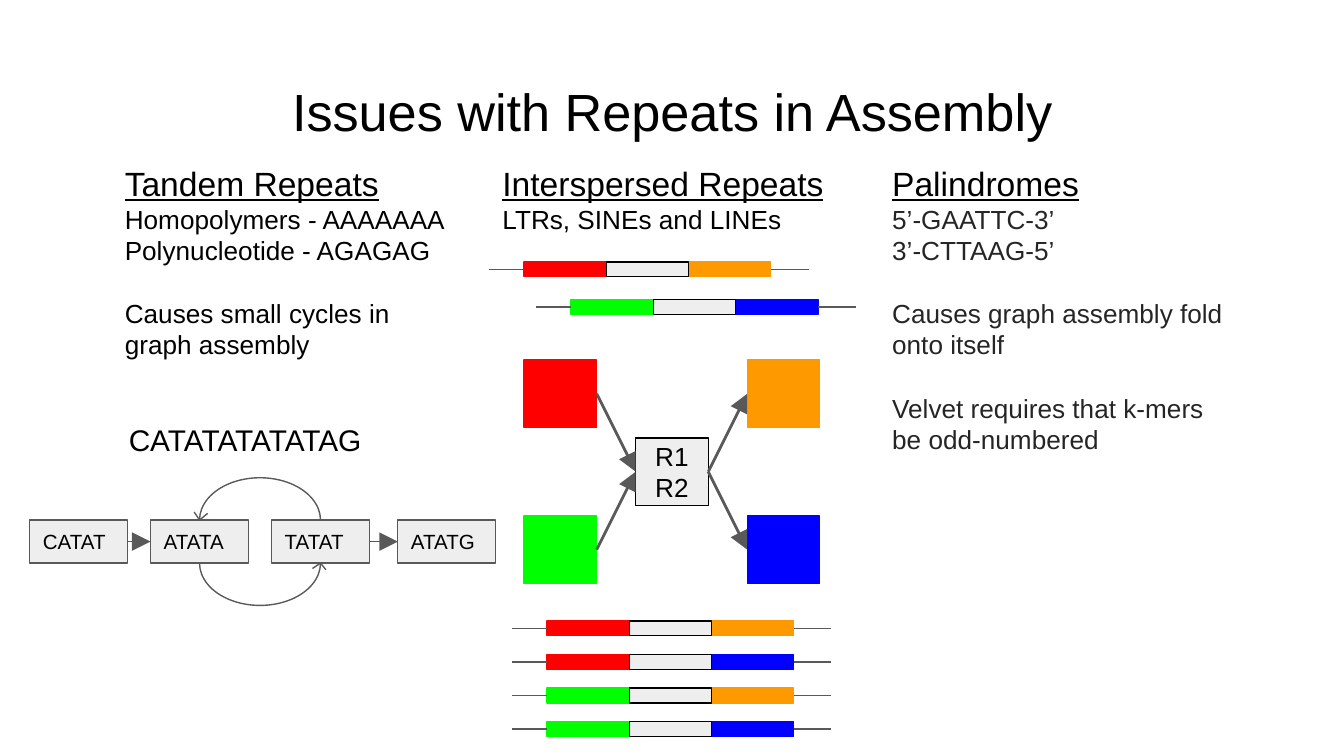
from lxml import etree
from pptx import Presentation
from pptx import util as u
from pptx.dml.color import RGBColor
from pptx.enum import shapes as kinds, text as txt
from pptx.oxml.ns import qn

RED = RGBColor(0xFF, 0x00, 0x00)
ORANGE = RGBColor(0xFF, 0x99, 0x00)
GREEN = RGBColor(0x00, 0xFF, 0x00)
BLUE = RGBColor(0x00, 0x00, 0xFF)
PALE = RGBColor(0xEE, 0xEE, 0xEE)
GREY = RGBColor(0x59, 0x59, 0x59)
INK = RGBColor(0x25, 0x25, 0x25)
BLACK = RGBColor(0x00, 0x00, 0x00)

LEFT, CENTER = txt.PP_ALIGN.LEFT, txt.PP_ALIGN.CENTER
RECT, ARC = kinds.MSO_SHAPE.RECTANGLE, kinds.MSO_SHAPE.ARC


def cells(*counts):
    """Turn counts of grid cells into lengths: 100 columns span the slide, and rows match."""
    return [u.Inches(n / 10) for n in counts]


def write(shape, lines, size, color=BLACK, align=LEFT, anchor=txt.MSO_ANCHOR.TOP):
    frame = shape.text_frame
    frame.word_wrap = True
    frame.vertical_anchor = anchor
    frame.margin_left = frame.margin_right = u.Inches(0.1)
    frame.margin_top = frame.margin_bottom = u.Inches(0.1)
    frame.text = "\n".join(lines)
    for para in frame.paragraphs:
        para.alignment = align
        for run in para.runs:
            run.font.name = "Arial"
            run.font.size = u.Pt(size)
            run.font.color.rgb = color
    return frame.paragraphs


def label(parts, box, line, size, align=LEFT):
    write(parts.add_textbox(*cells(*box)), [line], size, align=align)


def block(parts, box, fill, edge):
    shape = parts.add_shape(RECT, *cells(*box))
    shape.shadow.inherit = False
    shape.fill.solid()
    shape.fill.fore_color.rgb = fill
    shape.line.color.rgb = edge
    shape.line.width = u.Pt(0.75)
    return shape


def link(parts, start, end, width=0.75, arrow=False):
    line = parts.add_connector(kinds.MSO_CONNECTOR.STRAIGHT, *cells(*start, *end))
    line.line.color.rgb = GREY
    line.line.width = u.Pt(width)
    if arrow:
        etree.SubElement(line.line._get_or_add_ln(), qn("a:tailEnd"),
                         type="triangle", w="lg", len="lg")
    etree.SubElement(line._element.spPr, qn("a:effectLst"))


def column(parts, box, head, lines, gaps=(), color=BLACK):
    """Underlined heading over body lines; gaps lists the body lines set off by a space."""
    paras = write(parts.add_textbox(*cells(*box)), [head, *lines], 14, color)
    top = paras[0].runs[0].font
    top.size, top.underline, top.color.rgb = u.Pt(18), True, BLACK
    for i in gaps:
        paras[i + 1].space_before = u.Pt(17)


def strand(slide, left, top, first, last):
    """A repeat between two unique blocks, with a thin line at each end."""
    parts = slide.shapes.add_group_shape().shapes
    lead, wide, high, trail = 2.6, 6.12, 1.1, 2.8
    start, mid = left + lead, top + high / 2
    end = start + 3 * wide
    block(parts, (start, top, wide, high), first, first)
    block(parts, (end - wide, top, wide, high), last, last)
    link(parts, (start, mid), (left, mid))
    link(parts, (end, mid), (end + trail, mid))
    block(parts, (start + wide, top, wide, high), PALE, BLACK)


def network(slide, box):
    """Four corner blocks joined through one shared repeat."""
    parts = slide.shapes.add_group_shape().shapes
    left, top, wide, high = box
    w, h = 5.4, 5
    right, low = left + wide - w, top + high - h
    for x, y, hue in ((left, top, RED), (right, top, ORANGE),
                      (left, low, GREEN), (right, low, BLUE)):
        block(parts, (x, y, w, h), hue, hue)
    x, y = (left + right) / 2, (top + low) / 2
    hub = block(parts, (x, y, w, h), PALE, BLACK)
    write(hub, ["R1R2"], 14, align=CENTER, anchor=txt.MSO_ANCHOR.MIDDLE)
    mid = y + h / 2
    for edge in (top + h / 2, low + h / 2):
        link(parts, (left + w, edge), (x, mid), 1.5, True)
        link(parts, (x + w, mid), (right, edge), 1.5, True)


def loop(parts, left, right, y, start, end):
    """Half an ellipse centred on y; angles are in 60000ths of a degree over 100000."""
    rise = 3.15
    arc = parts.add_shape(ARC, *cells(left, y - rise, right - left, 2 * rise))
    arc.shadow.inherit = False
    arc.adjustments[0], arc.adjustments[1] = start, end
    arc.fill.background()
    arc.line.color.rgb = GREY
    arc.line.width = u.Pt(0.75)


def cycle(parts, box):
    """Chain of k-mers whose two middle nodes loop into each other."""
    left, top, wide, high = box
    w = 7.3
    spots = [left, left + 9, left + 18, left + wide - w]
    for x, name in zip(spots, ("CATAT", "ATATA", "TATAT", "ATATG")):
        node = block(parts, (x, top, w, high), PALE, GREY)
        write(node, [name], 11, anchor=txt.MSO_ANCHOR.MIDDLE)
    mid, low = top + high / 2, top + high
    for i in (0, 2):
        link(parts, (spots[i] + w, mid), (spots[i + 1], mid), arrow=True)
    near, far = spots[1] + w / 2, spots[2] + w / 2
    loop(parts, near, far, low, 0, 108)
    loop(parts, near, far, top, 108, 0)
    for x, y, barbs in ((near, top, ((-0.4, -0.6), (0.6, -0.5))),
                        (far, low, ((-0.6, 0.4), (0.4, 0.5)))):
        for dx, dy in barbs:
            link(parts, (x, y), (x + dx, y + dy))


def build():
    deck = Presentation()
    deck.slide_width, deck.slide_height = cells(100, 56.25)
    slide = deck.slides.add_slide(deck.slide_layouts[6])
    parts = slide.shapes
    label(parts, (3.4, 4.9, 93.2, 6.3), "Issues with Repeats in Assembly", 28, CENTER)
    column(parts, (8.3, 11.1, 26.2, 16.6), "Tandem Repeats",
           ["Homopolymers - AAAAAAA", "Polynucleotide - AGAGAG",
            "Causes small cycles in graph assembly"], gaps=[2])
    column(parts, (36.4, 11.1, 27.3, 10.6), "Interspersed Repeats",
           ["LTRs, SINEs and LINEs"])
    column(parts, (65.4, 11.1, 27.3, 41.2), "Palindromes",
           ["5’-GAATTC-3’", "3’-CTTAAG-5’",
            "Causes graph assembly fold onto itself",
            "Velvet requires that k-mers be odd-numbered"], gaps=[2, 3], color=INK)
    network(slide, (39, 26.8, 22, 16.6))
    strand(slide, 36.4, 19.5, RED, ORANGE)
    strand(slide, 39.9, 22.3, GREEN, BLUE)
    pairs = [(first, last) for first in (RED, GREEN) for last in (ORANGE, BLUE)]
    for i, (first, last) in enumerate(pairs):
        strand(slide, 38.1, 46.2 + 2.5 * i, first, last)
    label(parts, (8.6, 30.4, 22.1, 3.2), "CATATATATATAG", 16)
    cycle(parts, (2.2, 38.7, 34.7, 3.2))
    deck.save("out.pptx")


if __name__ == "__main__":
    build()
